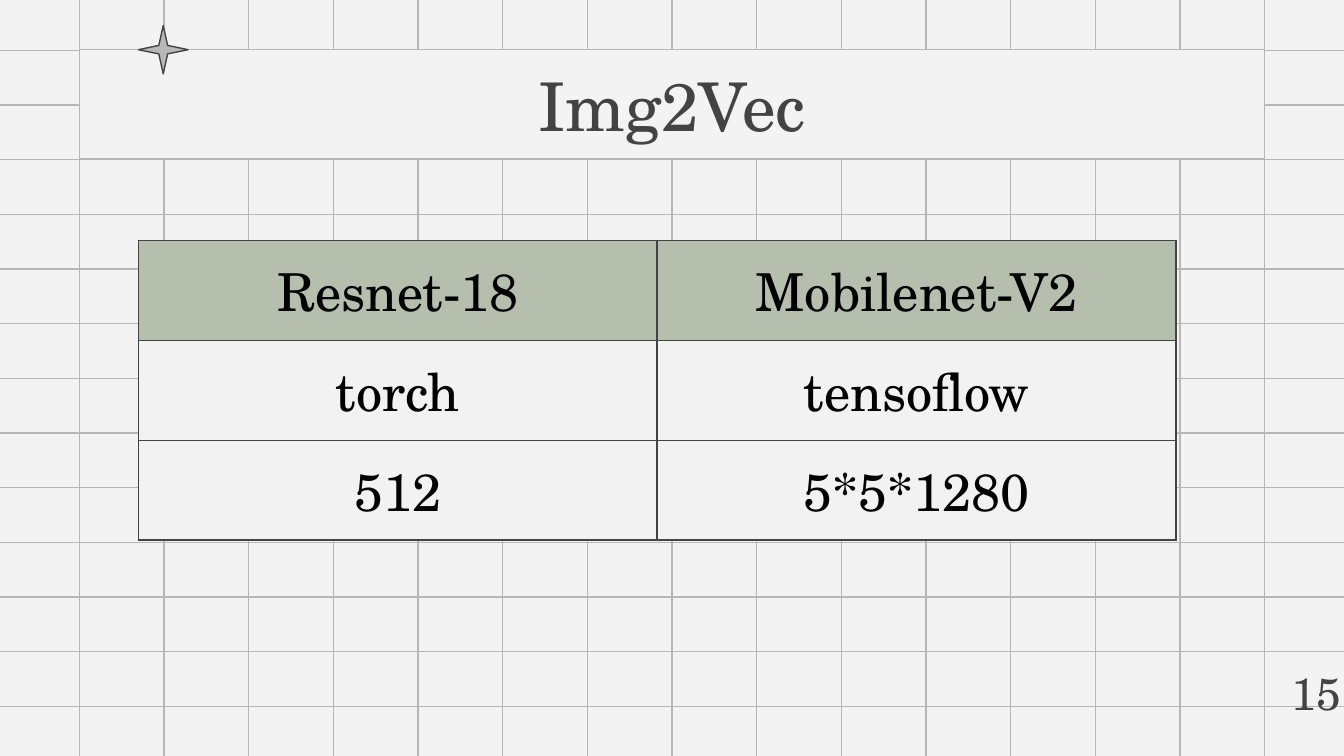
import pptx
import pptx.dml.color
import pptx.enum.shapes
import pptx.enum.text
import pptx.oxml
import pptx.oxml.ns
import pptx.util
from pptx.util import Inches

RGBColor = pptx.dml.color.RGBColor
PAPER = RGBColor(0xF3, 0xF3, 0xF3)
GRID_GRAY = RGBColor(0xB7, 0xB7, 0xB7)
INK = RGBColor(0x43, 0x43, 0x43)
BLACK = RGBColor(0x00, 0x00, 0x00)
HEADER_GREEN = RGBColor(0xB6, 0xBF, 0xAD)
CELL_GRAY = RGBColor(0xF2, 0xF2, 0xF2)
FONT = "TeX Gyre Schola"

MIDDLE = pptx.enum.text.MSO_ANCHOR.MIDDLE
CENTER = pptx.enum.text.PP_ALIGN.CENTER
LEFT = pptx.enum.text.PP_ALIGN.LEFT

MODELS = [
    ["Resnet-18", "Mobilenet-V2"],
    ["torch", "tensoflow"],
    ["512", "5*5*1280"],
]


def write_text(text_frame, text, size, color, alignment):
    text_frame.text = text
    paragraph = text_frame.paragraphs[0]
    paragraph.alignment = alignment
    font = paragraph.runs[0].font
    font.name, font.size = FONT, pptx.util.Pt(size)
    font.color.rgb = color


def set_insets(text_frame, inset):
    text_frame.margin_left = text_frame.margin_right = Inches(inset)
    text_frame.margin_top = text_frame.margin_bottom = Inches(inset)


def add_outlined_shape(slide, kind, box, fill, outline):
    shape = slide.shapes.add_shape(kind, *map(Inches, box))
    shape.shadow.inherit = False
    shape.fill.solid()
    shape.fill.fore_color.rgb = fill
    shape.line.color.rgb = outline
    shape.line.width = pptx.util.Pt(0.75)
    return shape


def add_grid_line(slide, start, end):
    line = slide.shapes.add_connector(
        pptx.enum.shapes.MSO_CONNECTOR.STRAIGHT, *map(Inches, start + end))
    line.line.color.rgb = GRID_GRAY
    line.line.width = pptx.util.Pt(0.75)
    properties = line._element.spPr
    properties.append(pptx.oxml.parse_xml(
        f'<a:effectLst {pptx.oxml.ns.nsdecls("a")}/>'))


def add_grid(slide, box):
    """Squared paper; every line is made of two halves meeting at the centre."""
    left, top, width, height = box
    center_x, center_y = left + width / 2, top + height / 2
    column_step, row_step = 0.63, 2.44 / 6
    for column in range(-7, 8):
        x = center_x + column * column_step
        for y in (top, center_y):
            add_grid_line(slide, (x, y), (x, y + height / 2))
    for row in range(-6, 7):
        y = center_y + row * row_step
        for x in (left, center_x):
            add_grid_line(slide, (x, y), (x + width / 2, y))


def add_title(slide, box, text):
    left, top = box[:2]
    kinds = pptx.enum.shapes.MSO_SHAPE
    banner = add_outlined_shape(slide, kinds.RECTANGLE, box, PAPER, GRID_GRAY)
    banner.text_frame.word_wrap = True
    banner.text_frame.vertical_anchor = MIDDLE
    set_insets(banner.text_frame, 0.1)
    write_text(banner.text_frame, text, 36, INK, CENTER)

    # Star on the banner's top edge
    star_box = (left + 0.44, top - 0.18, 0.37, 0.36)
    star = add_outlined_shape(slide, kinds.STAR_4_POINT, star_box, GRID_GRAY, INK)
    star.adjustments[0] = 0.125


def set_cell_borders(cell):
    properties = cell._tc.get_or_add_tcPr()
    for position, side in enumerate(("lnL", "lnR", "lnT", "lnB")):
        properties.insert(position, pptx.oxml.parse_xml(
            f'<a:{side} {pptx.oxml.ns.nsdecls("a")} w="12700"><a:solidFill>'
            f'<a:srgbClr val="{INK}"/></a:solidFill></a:{side}>'))


def add_model_table(slide, box, rows):
    frame = slide.shapes.add_table(len(rows), len(rows[0]), *map(Inches, box))
    for row_index, row in enumerate(rows):
        for column_index, text in enumerate(row):
            cell = frame.table.cell(row_index, column_index)
            cell.fill.solid()
            cell.fill.fore_color.rgb = CELL_GRAY if row_index else HEADER_GREEN
            cell.vertical_anchor = MIDDLE
            write_text(cell.text_frame, text, 28, BLACK, CENTER)
            set_cell_borders(cell)


def add_page_number(slide, box, text):
    text_box = slide.shapes.add_textbox(*map(Inches, box))
    text_box.text_frame.word_wrap = False
    text_box.text_frame.vertical_anchor = MIDDLE
    set_insets(text_box.text_frame, 0.1)
    write_text(text_box.text_frame, text, 24, INK, LEFT)
    text_box.text_frame.paragraphs[0].space_after = pptx.util.Pt(12)


def main():
    presentation = pptx.Presentation()
    presentation.slide_width = Inches(10)
    presentation.slide_height = Inches(10 * 9 / 16)
    slide = presentation.slides.add_slide(presentation.slide_layouts[6])
    slide.background.fill.solid()
    slide.background.fill.fore_color.rgb = PAPER

    add_grid(slide, (-0.04, -0.03, 10.08, 5.69))
    add_title(slide, (0.59, 0.37, 8.82, 0.81), "Img2Vec")
    add_model_table(slide, (1.03, 1.79, 7.72, 2.23), MODELS)
    add_page_number(slide, (9.51, 4.95, 0.57, 0.4), "15")
    presentation.save("out.pptx")


if __name__ == "__main__":
    main()
